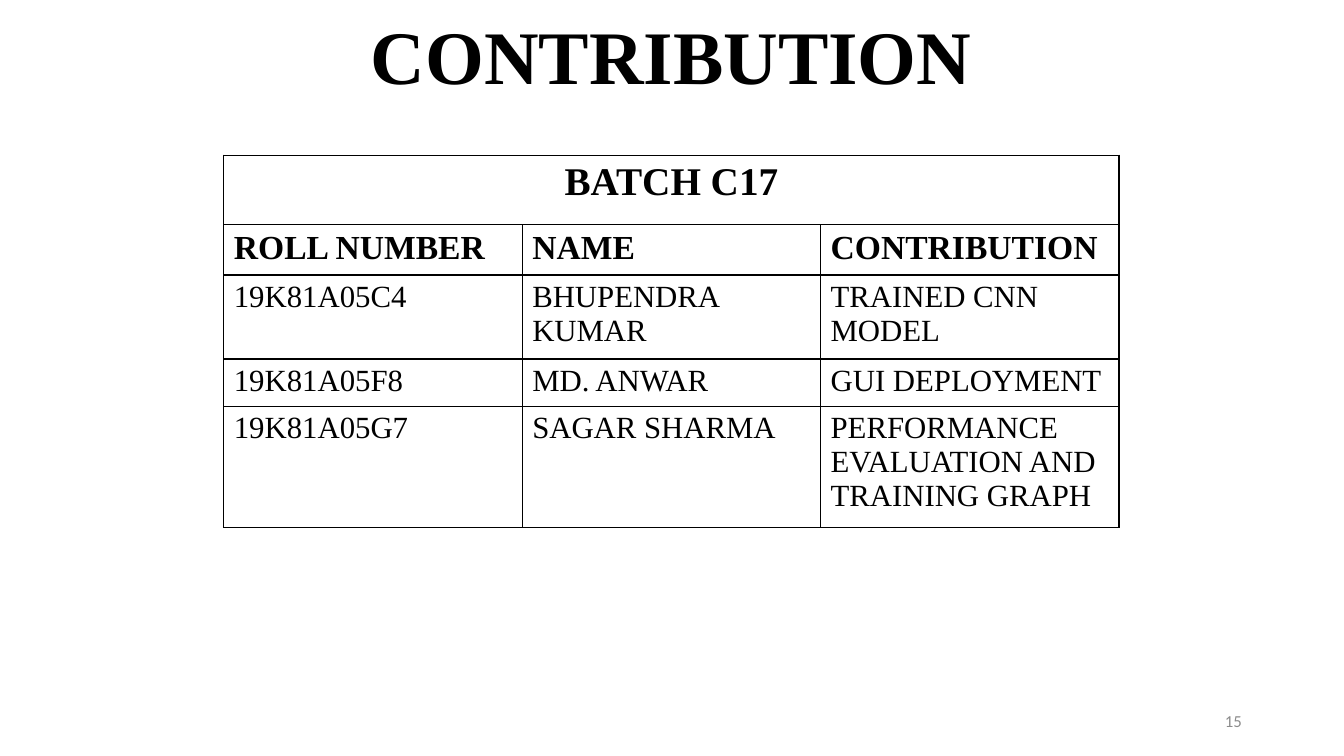
from dataclasses import dataclass

from lxml import etree
from pptx import Presentation
from pptx.dml.color import RGBColor
from pptx.enum.text import MSO_ANCHOR, PP_ALIGN
from pptx.oxml.ns import qn
from pptx.util import Cm, Pt

LEFT, CENTER, RIGHT = PP_ALIGN.LEFT, PP_ALIGN.CENTER, PP_ALIGN.RIGHT
MIDDLE = MSO_ANCHOR.MIDDLE


@dataclass(frozen=True)
class Theme:
    """Hold the colours, fonts and type sizes."""
    ink: str = "000000"
    paper: str = "FFFFFF"
    gray: str = "8C8C8C"
    serif: str = "Times New Roman"
    sans: str = "Calibri"
    title: int = 54
    batch: int = 28
    head: int = 24
    body: int = 22
    small: int = 12
    rule: int = 1


def write(frame, text, font, size, color, bold=False, align=LEFT, space=1.0):
    """Put formatted text into a text frame."""
    para = frame.paragraphs[0]
    para.alignment = align
    para.line_spacing = space
    run = para.add_run()
    run.text = text
    run.font.name = font
    run.font.size = Pt(size)
    run.font.bold = bold
    run.font.color.rgb = RGBColor.from_string(color)


class Page:
    """Draw styled elements on one slide."""

    def __init__(self, slide, theme):
        """Keep the slide and its theme."""
        self.slide = slide
        self.theme = theme

    def title(self, text, box):
        """Place and fill the title."""
        t = self.theme
        shape = self.slide.shapes.title
        shape.left, shape.top, shape.width, shape.height = map(Cm, box)
        frame = shape.text_frame
        frame.word_wrap = True
        frame.vertical_anchor = MIDDLE
        write(frame, text, t.serif, t.title, t.ink, bold=True, align=CENTER, space=0.9)

    def number(self, text, box):
        """Add the page number."""
        t = self.theme
        frame = self.slide.shapes.add_textbox(*map(Cm, box)).text_frame
        frame.word_wrap = True
        frame.vertical_anchor = MIDDLE
        write(frame, text, t.sans, t.small, t.gray, align=RIGHT)

    def border(self, cell):
        """Rule all four sides of a cell."""
        props = cell._tc.get_or_add_tcPr()
        for i, side in enumerate(("lnL", "lnR", "lnT", "lnB")):
            line = etree.Element(qn(f"a:{side}"), w=str(Pt(self.theme.rule)))
            fill = etree.SubElement(line, qn("a:solidFill"))
            etree.SubElement(fill, qn("a:srgbClr"), val=self.theme.ink)
            props.insert(i, line)

    def table(self, rows, left, top, width, height, head, align=LEFT):
        """Add a ruled table with a bold first row."""
        t = self.theme
        count = len(rows[0])
        grid = self.slide.shapes.add_table(
            len(rows), count, Cm(left), Cm(top), Cm(width), Cm(height * len(rows))
        ).table
        for col in grid.columns:
            col.width = Cm(width / count)
        for r, row in enumerate(rows):
            grid.rows[r].height = Cm(height)
            for c, text in enumerate(row):
                cell = grid.cell(r, c)
                cell.fill.solid()
                cell.fill.fore_color.rgb = RGBColor.from_string(t.paper)
                self.border(cell)
                size = t.body if r else head
                write(cell.text_frame, text, t.serif, size, t.ink, bold=r == 0, align=align)


def main():
    """Build and save the slide."""
    deck = Presentation()
    deck.slide_width, deck.slide_height = Cm(33.87), Cm(19.05)
    theme = Theme()
    page = Page(deck.slides.add_slide(deck.slide_layouts[5]), theme)
    page.title("CONTRIBUTION", (2.31, -0.33, 29.21, 3.68))
    page.number("15", (23.93, 17.65, 7.62, 1.02))
    work = [
        ("ROLL NUMBER", "NAME", "CONTRIBUTION"),
        ("19K81A05C4", "BHUPENDRA KUMAR", "TRAINED CNN MODEL"),
        ("19K81A05F8", "MD. ANWAR", "GUI DEPLOYMENT"),
        ("19K81A05G7", "SAGAR SHARMA", "PERFORMANCE EVALUATION AND TRAINING GRAPH"),
    ]
    left, top, width, band = 5.64, 3.91, 22.56, 1.75
    page.table(work, left, top + band, width, 1.04, theme.head)
    page.table([("BATCH C17",)], left, top, width, band, theme.batch, align=CENTER)
    deck.save("out.pptx")


if __name__ == "__main__":
    main()
